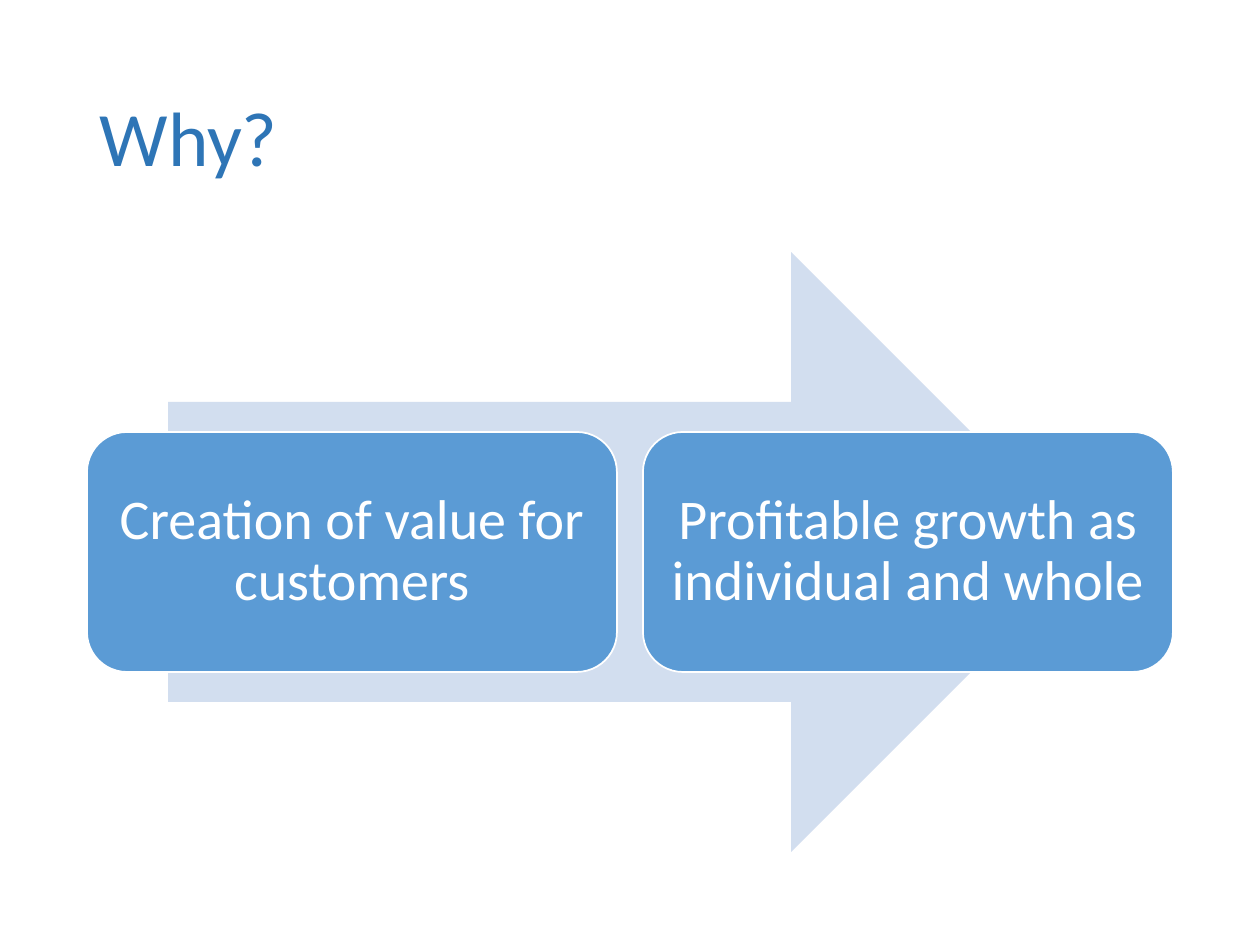
from pptx import Presentation
from pptx.dml.color import RGBColor
from pptx.enum.shapes import MSO_SHAPE
from pptx.enum.text import MSO_ANCHOR, PP_ALIGN
from pptx.util import Pt

PX = 914400 / 126
FONT = "Calibri"
TITLE_BLUE = RGBColor(0x2E, 0x75, 0xB6)
CARD_BLUE = RGBColor(0x5B, 0x9B, 0xD5)
PALE_BLUE = RGBColor(0xD2, 0xDE, 0xEF)
WHITE = RGBColor(0xFF, 0xFF, 0xFF)
ARROW = MSO_SHAPE.RIGHT_ARROW
ROUNDED = MSO_SHAPE.ROUNDED_RECTANGLE
MIDDLE = MSO_ANCHOR.MIDDLE
LEFT, CENTER = PP_ALIGN.LEFT, PP_ALIGN.CENTER

TITLE_BOX = (87, 50, 1086, 183)
DIAGRAM_BOX = (87, 252, 1086, 600)
STEPS = ["Creation of value for customers", "Profitable growth as individual and whole"]


def px(value):
    return round(value * PX)


def write(shape, text, size, color, align):
    frame = shape.text_frame
    frame.text = text
    frame.word_wrap = True
    frame.vertical_anchor = MIDDLE
    para = frame.paragraphs[0]
    para.alignment = align
    para.line_spacing = 0.9
    font = para.runs[0].font
    font.name, font.size = FONT, Pt(size)
    font.color.rgb = color


def add_filled(page, kind, box, color):
    shape = page.shapes.add_shape(kind, *map(px, box))
    shape.shadow.inherit = False
    shape.fill.solid()
    shape.fill.fore_color.rgb = color
    shape.line.fill.background()
    return shape


def place_title(page, box, text):
    title = page.shapes.title
    title.left, title.top, title.width, title.height = map(px, box)
    write(title, text, 44, TITLE_BLUE, LEFT)


def add_card(page, box, text):
    card = add_filled(page, ROUNDED, box, CARD_BLUE)
    card.line.color.rgb = WHITE
    card.line.width = Pt(1)
    frame = card.text_frame
    frame.margin_left = frame.margin_right = px(16)
    frame.margin_top = frame.margin_bottom = px(16)
    write(card, text, 32, WHITE, CENTER)


def add_arrow_process(page, box, steps):
    left, top, width, height = box
    arrow_width = round(width * 0.85)
    arrow_left = left + (width - arrow_width) // 2
    add_filled(page, ARROW, (arrow_left, top, arrow_width, height), PALE_BLUE)

    gap = 26
    card_width = (width - gap * (len(steps) - 1)) // len(steps)
    card_height = round(height * 0.4)
    card_top = top + (height - card_height) // 2
    for index, text in enumerate(steps):
        card_left = left + index * (card_width + gap)
        add_card(page, (card_left, card_top, card_width, card_height), text)


def main():
    deck = Presentation()
    deck.slide_width, deck.slide_height = px(1260), px(945)
    page = deck.slides.add_slide(deck.slide_layouts[5])
    place_title(page, TITLE_BOX, "Why?")
    add_arrow_process(page, DIAGRAM_BOX, STEPS)
    deck.save("out.pptx")


if __name__ == "__main__":
    main()
